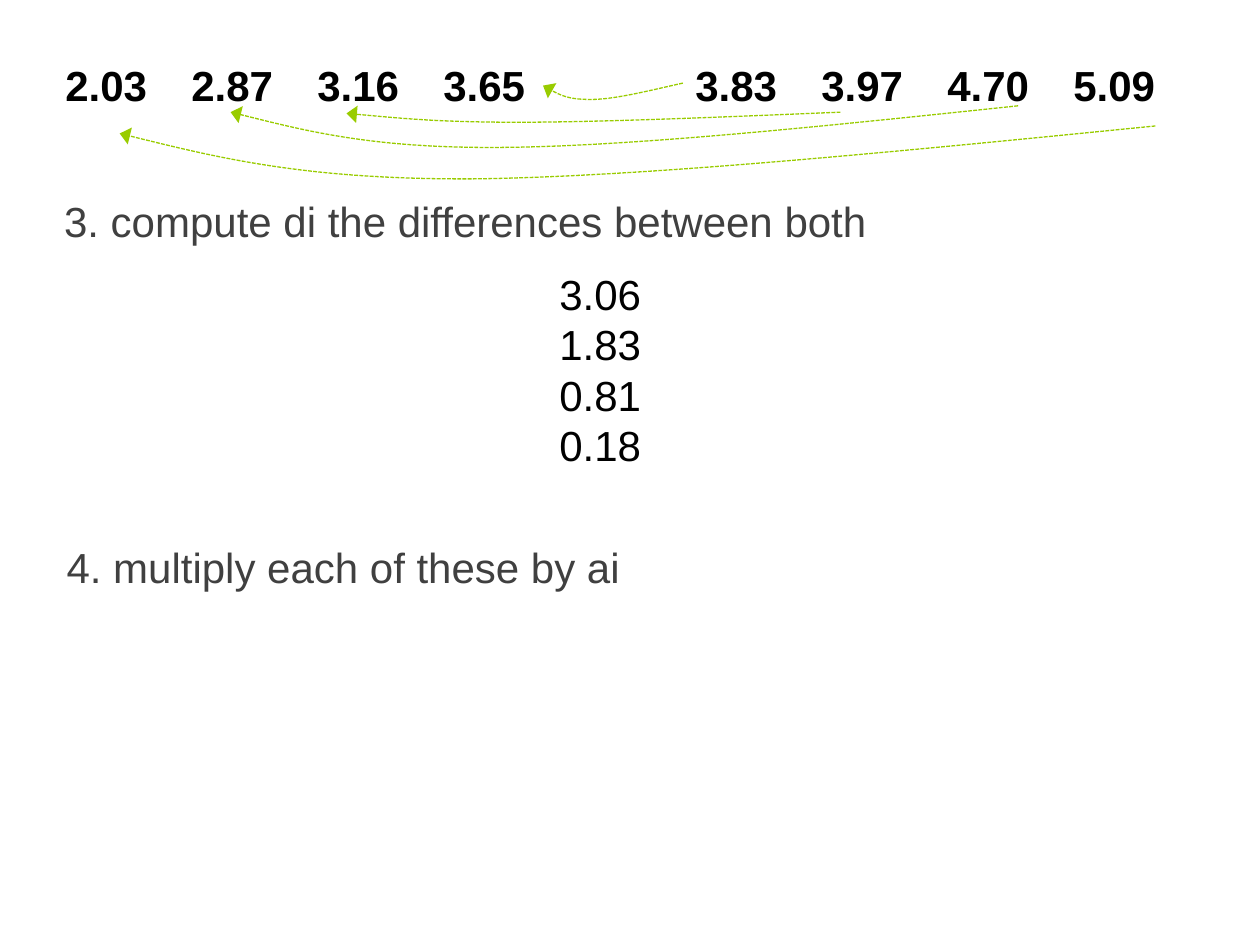
from dataclasses import dataclass

from lxml.etree import SubElement
from pptx import Presentation
from pptx.dml.color import RGBColor
from pptx.enum.dml import MSO_LINE
from pptx.oxml.ns import qn
from pptx.util import Inches, Pt

Point = tuple[float, float]


@dataclass
class Label:
    box: tuple[float, float, float, float]
    lines: list[str]
    color: str = "000000"
    bold: bool = False
    tabs: int = 0


@dataclass
class Arc:
    start: Point
    curves: list[Point]


LOW = ["2.03", "2.87", "3.16", "3.65"]
HIGH = ["3.83", "3.97", "4.70", "5.09"]
ROW = LOW + [""] + HIGH
LABELS = [
    Label((0.42, 0.42, 10.08, 0.5), ["\t".join(ROW)],
          bold=True, tabs=len(ROW) - 1),
    Label((0.41, 1.5, 8.92, 1.25),
          ["3. compute di the differences between both"], "404040"),
    Label((4.34, 2.08, 1.25, 2.12), ["3.06", "1.83", "0.81", "0.18"]),
    Label((0.43, 4.25, 8.92, 1.25),
          ["4. multiply each of these by ai"], "404040"),
]
ARCS = [
    Arc((6.67, 0.89), [(5.71, 0.93), (4.76, 0.97), (4.11, 0.97),
                       (3.45, 0.97), (3.1, 0.93), (2.75, 0.9)]),
    Arc((8.08, 0.84), [(6.56, 1), (5.04, 1.16), (4, 1.17),
                       (2.96, 1.18), (2.39, 1.03), (1.83, 0.89)]),
    Arc((9.17, 1), [(7.16, 1.2), (5.16, 1.4), (3.79, 1.42),
                    (2.42, 1.43), (1.68, 1.24), (0.95, 1.06)]),
    Arc((5.42, 0.66), [(5.15, 0.72), (4.88, 0.79), (4.69, 0.79),
                       (4.51, 0.79), (4.41, 0.74), (4.31, 0.68)]),
]


def paint(code: str) -> RGBColor:
    return RGBColor.from_string(code)


def set_tabs(para, count: int) -> None:
    stops = SubElement(para._p.get_or_add_pPr(), qn("a:tabLst"))
    for i in range(1, count + 1):
        SubElement(stops, qn("a:tab"), pos=str(Inches(i)), algn="l")


def add_label(slide, label: Label) -> None:
    box = slide.shapes.add_textbox(*map(Inches, label.box))
    frame = box.text_frame
    frame.word_wrap = True
    for i, line in enumerate(label.lines):
        para = frame.add_paragraph() if i else frame.paragraphs[0]
        if label.tabs:
            set_tabs(para, label.tabs)
        run = para.add_run()
        run.text = line
        font = run.font
        font.name, font.size, font.bold = "Arial", Pt(24), label.bold
        font.color.rgb = paint(label.color)


def bend(shape) -> None:
    track = shape._element.find(".//" + qn("a:path"))
    steps = track.findall(qn("a:lnTo"))
    for i in range(0, len(steps), 3):
        curve = SubElement(track, qn("a:cubicBezTo"))
        for step in steps[i:i + 3]:
            curve.append(step[0])
            track.remove(step)


def add_arc(slide, arc: Arc) -> None:
    x, y = map(Inches, arc.start)
    pen = slide.shapes.build_freeform(x, y)
    pen.add_line_segments([(Inches(x), Inches(y)) for x, y in arc.curves],
                          close=False)
    shape = pen.convert_to_shape()
    bend(shape)
    shape.shadow.inherit = False
    shape.fill.background()
    line = shape.line
    line.color.rgb = paint("99CC00")
    line.width = Pt(0.75)
    line.dash_style = MSO_LINE.SQUARE_DOT
    SubElement(line._get_or_add_ln(), qn("a:tailEnd"),
               type="triangle", w="lg", len="med")


def main() -> None:
    deck = Presentation()
    deck.slide_width, deck.slide_height = Inches(10), Inches(7.5)
    slide = deck.slides.add_slide(deck.slide_layouts[6])
    for label in LABELS:
        add_label(slide, label)
    for arc in ARCS:
        add_arc(slide, arc)
    deck.save("out.pptx")


if __name__ == "__main__":
    main()
